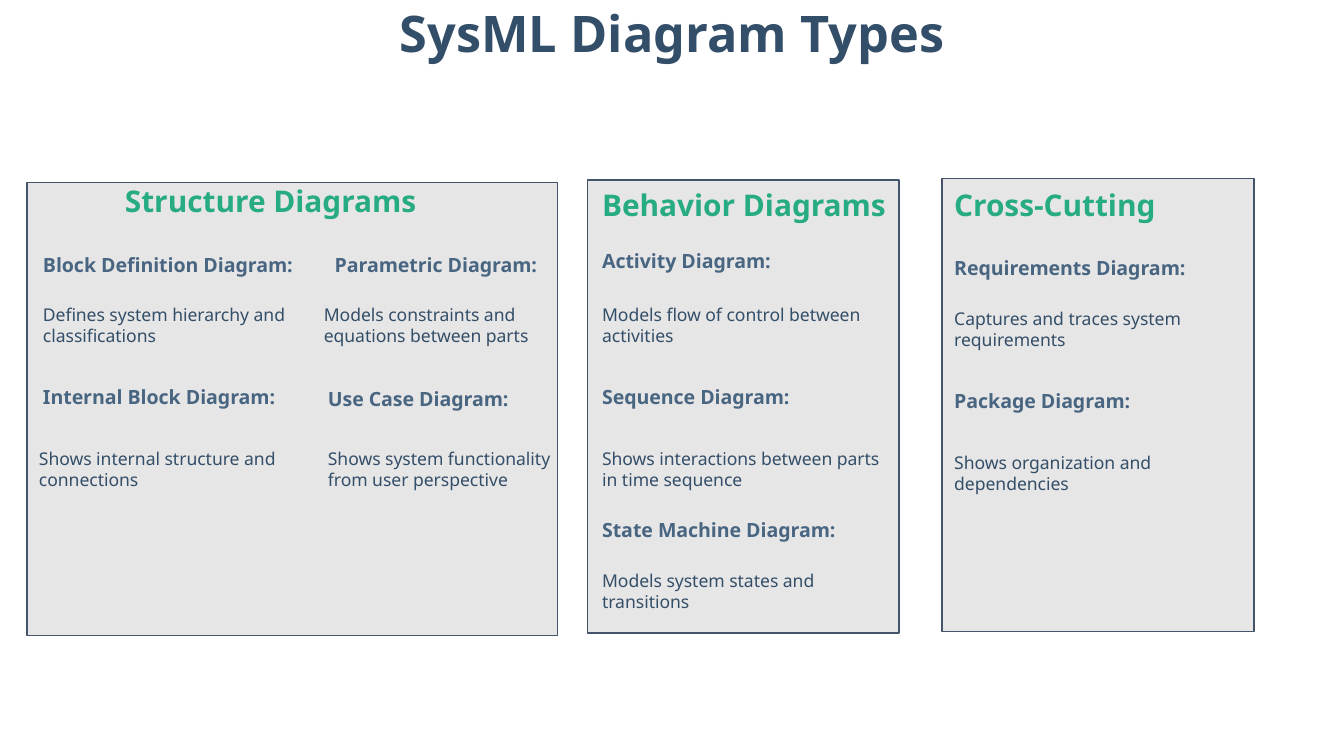
from pptx import Presentation
from pptx.dml.color import RGBColor
from pptx.enum import shapes, text
from pptx.util import Inches, Pt

NAVY = RGBColor(0x33, 0x4E, 0x68)
BLUE = RGBColor(0x48, 0x65, 0x81)
GREEN = RGBColor(0x27, 0xAB, 0x83)
GRAY = RGBColor(0xE7, 0xE6, 0xE6)
OUTLINE = RGBColor(0x44, 0x54, 0x6A)
FONT = "Noto Sans"

# Content: each diagram is (row, name, name left, name top, description, description left)
TITLE = "SysML Diagram Types"
PANELS = [
    {"heading": "Structure Diagrams", "heading_at": (0.93, 1.33),
     "box": (0.2, 1.36, 3.95), "text_width": 1.87, "shift": 0, "diagrams": [
        (0, "Block Definition Diagram:", 0.32, 1.76,
         "Defines system hierarchy and classifications", 0.32),
        (1, "Internal Block Diagram:", 0.32, 2.74,
         "Shows internal structure and connections", 0.29),
        (0, "Parametric Diagram:", 2.49, 1.76,
         "Models constraints and equations between parts", 2.41),
        (1, "Use Case Diagram:", 2.44, 2.76,
         "Shows system functionality from user perspective", 2.44)]},
    {"heading": "Behavior Diagrams", "heading_at": (4.48, 1.36),
     "box": (4.37, 1.34, 2.32), "text_width": 2.12, "shift": 0, "diagrams": [
        (0, "Activity Diagram:", 4.48, 1.73,
         "Models flow of control between activities", 4.48),
        (1, "Sequence Diagram:", 4.48, 2.74,
         "Shows interactions between parts in time sequence", 4.48),
        (2, "State Machine Diagram:", 4.48, 3.73,
         "Models system states and transitions", 4.48)]},
    {"heading": "Cross-Cutting", "heading_at": (7.1, 1.36),
     "box": (7.01, 1.33, 2.32), "text_width": 2.12, "shift": 0.03, "diagrams": [
        (0, "Requirements Diagram:", 7.1, 1.78,
         "Captures and traces system requirements", 7.1),
        (1, "Package Diagram:", 7.1, 2.77,
         "Shows organization and dependencies", 7.1)]},
]
SLIDE_WIDTH = 10
PANEL_HEIGHT = 3.37
DESCRIPTION_TOPS = (2.12, 3.19, 4.1)


def add_text(parent, words, left, top, width, height, *, size, color,
             bold=False, align=text.PP_ALIGN.LEFT):
    box = parent.shapes.add_textbox(Inches(left), Inches(top), Inches(width), Inches(height))
    frame = box.text_frame
    frame.word_wrap = True
    frame.vertical_anchor = text.MSO_ANCHOR.MIDDLE
    frame.margin_left = frame.margin_right = frame.margin_top = frame.margin_bottom = 0
    paragraph = frame.paragraphs[0]
    paragraph.alignment = align
    run = paragraph.add_run()
    run.text = words
    run.font.name, run.font.size, run.font.bold = FONT, Pt(size), bold
    run.font.color.rgb = color


def add_panel(slide, left, top, width):
    panel = slide.shapes.add_shape(shapes.MSO_SHAPE.RECTANGLE, Inches(left), Inches(top),
                                   Inches(width), Inches(PANEL_HEIGHT))
    panel.shadow.inherit = False
    panel.fill.solid()
    panel.fill.fore_color.rgb = GRAY
    panel.line.color.rgb = OUTLINE
    panel.line.width = Pt(0.75)


def main():
    deck = Presentation()
    deck.slide_width = Inches(SLIDE_WIDTH)
    deck.slide_height = Inches(SLIDE_WIDTH * 9 / 16)
    slide = deck.slides.add_slide(deck.slide_layouts[6])

    # Panels behind the text
    for panel in PANELS:
        add_panel(slide, *panel["box"])

    # Title
    add_text(slide, TITLE, 2.81, 0, 4.38, 0.48, size=27, color=NAVY, bold=True,
             align=text.PP_ALIGN.CENTER)

    # One group of text per panel
    for panel in PANELS:
        group = slide.shapes.add_group_shape()
        width = panel["text_width"]
        add_text(group, panel["heading"], *panel["heading_at"], 2.77, 0.32,
                 size=16, color=GREEN, bold=True)
        for row, name, name_left, name_top, description, left in panel["diagrams"]:
            add_text(group, name, name_left, name_top, width, 0.42,
                     size=10.5, color=BLUE, bold=True)
            add_text(group, description, left, DESCRIPTION_TOPS[row] + panel["shift"],
                     width, 0.6, size=9.4, color=NAVY)

    deck.save("out.pptx")


if __name__ == "__main__":
    main()
